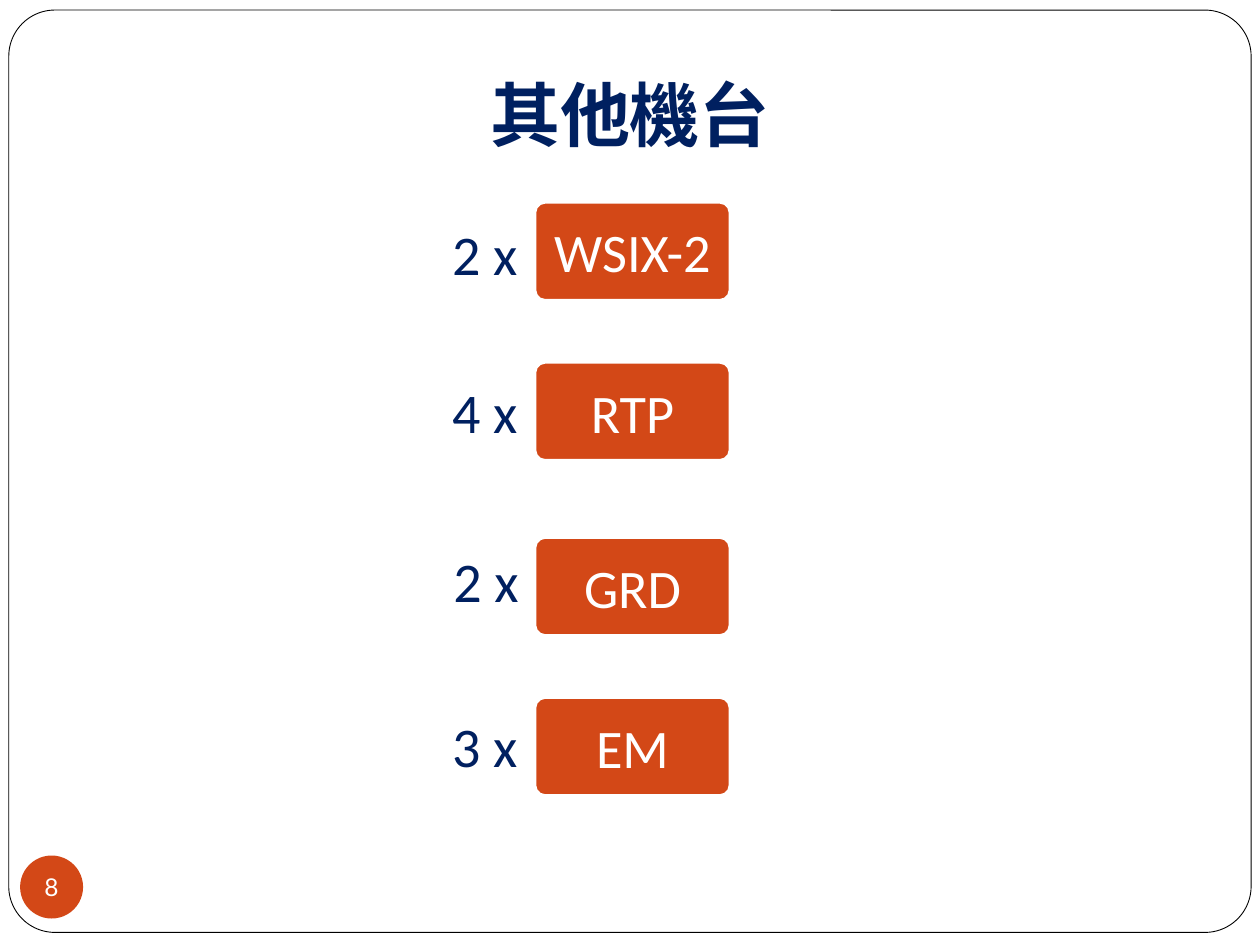
from dataclasses import dataclass

from lxml.etree import SubElement
from pptx import Presentation
from pptx.dml.color import RGBColor
from pptx.enum.shapes import MSO_SHAPE
from pptx.enum.text import MSO_ANCHOR, PP_ALIGN
from pptx.oxml.ns import qn
from pptx.util import Inches, Pt

ORANGE, NAVY, WHITE, BLACK = "D34817", "002060", "FFFFFF", "000000"


@dataclass
class Machine:
    count: str
    name: str
    box_top: float
    count_left: float
    count_top: float


MACHINES = [
    Machine("2 x", "WSIX-2", 1.61, 3.49, 1.69),
    Machine("4 x", "RTP", 2.88, 3.49, 2.95),
    Machine("2 x", "GRD", 4.27, 3.5, 4.29),
    Machine("3 x", "EM", 5.54, 3.49, 5.6),
]


def color(hex_value: str) -> RGBColor:
    return RGBColor.from_string(hex_value)


def add_panel(slide, kind, left: float, top: float, width: float, height: float,
              fill: str, line: str | None = None, line_width: float = 1,
              corner: float | None = None):
    panel = slide.shapes.add_shape(
        kind, Inches(left), Inches(top), Inches(width), Inches(height))
    panel.shadow.inherit = False
    panel.fill.solid()
    panel.fill.fore_color.rgb = color(fill)
    if line is None:
        panel.line.fill.background()
    else:
        panel.line.color.rgb = color(line)
        panel.line.width = Pt(line_width)
    if corner is not None:
        panel.adjustments[0] = corner
    return panel


def add_label(slide, left: float, top: float, width: float, height: float):
    return slide.shapes.add_textbox(
        Inches(left), Inches(top), Inches(width), Inches(height))


def write(shape, text: str, size: float, font_name: str, text_color: str,
          align=PP_ALIGN.CENTER, anchor=MSO_ANCHOR.TOP, margin: float | None = None,
          wrap: bool = True, bold: bool = False) -> None:
    frame = shape.text_frame
    frame.word_wrap = wrap
    frame.vertical_anchor = anchor
    if margin is not None:
        frame.margin_left = frame.margin_right = Inches(margin)
        frame.margin_top = frame.margin_bottom = Inches(margin)
    paragraph = frame.paragraphs[0]
    paragraph.text = text
    paragraph.alignment = align
    font = paragraph.font
    font.size = Pt(size)
    font.bold = bold
    font.color.rgb = color(text_color)
    font.name = font_name
    defaults = paragraph._p.pPr.find(qn("a:defRPr"))
    SubElement(defaults, qn("a:ea")).set("typeface", font_name)


def add_machine(slide, machine: Machine) -> None:
    box = add_panel(slide, MSO_SHAPE.ROUNDED_RECTANGLE, 4.25, machine.box_top,
                    1.54, 0.77, ORANGE, WHITE, corner=0.1)
    write(box, machine.name, 31, "Calibri", WHITE,
          anchor=MSO_ANCHOR.MIDDLE, margin=0.02)
    count = add_label(slide, machine.count_left, machine.count_top, 0.72, 0.64)
    write(count, machine.count, 32, "Calibri", NAVY,
          align=PP_ALIGN.LEFT, wrap=False)


def main() -> None:
    presentation = Presentation()
    presentation.slide_width = Inches(10)
    presentation.slide_height = Inches(7.5)
    slide = presentation.slides.add_slide(presentation.slide_layouts[6])

    add_panel(slide, MSO_SHAPE.ROUNDED_RECTANGLE, 0.07, 0.08, 9.86, 7.32,
              WHITE, BLACK, 0.5, corner=0.05)
    page_badge = add_panel(slide, MSO_SHAPE.OVAL, 0.16, 6.79, 0.5, 0.5, ORANGE)
    write(page_badge, "8", 14, "Lato", WHITE,
          anchor=MSO_ANCHOR.MIDDLE, margin=0, wrap=False)
    title = add_label(slide, 0.75, 0.52, 8.5, 0.79)
    write(title, "其他機台", 40, "Noto Sans CJK SC", NAVY, bold=True)
    for machine in MACHINES:
        add_machine(slide, machine)

    presentation.save("out.pptx")


if __name__ == "__main__":
    main()
